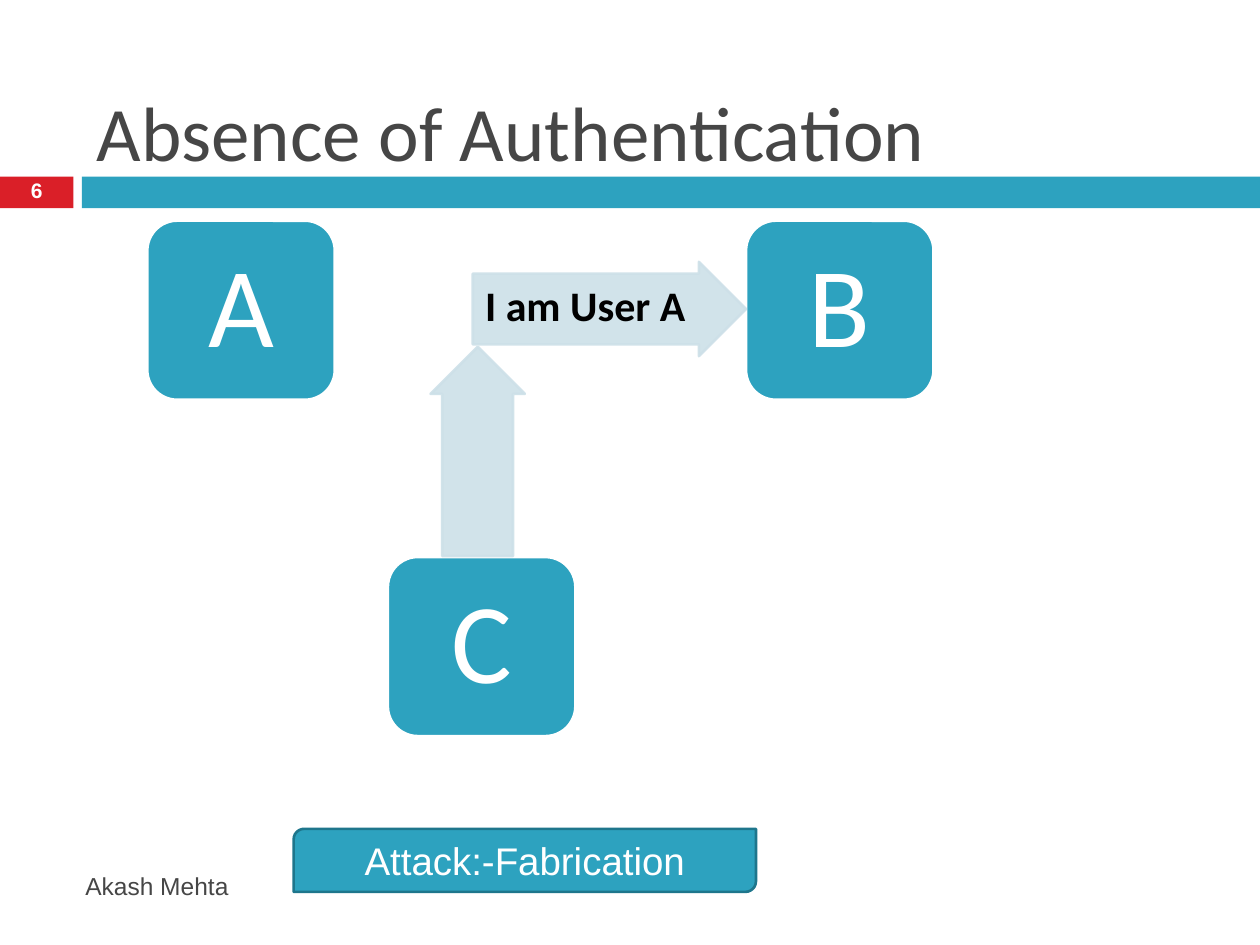
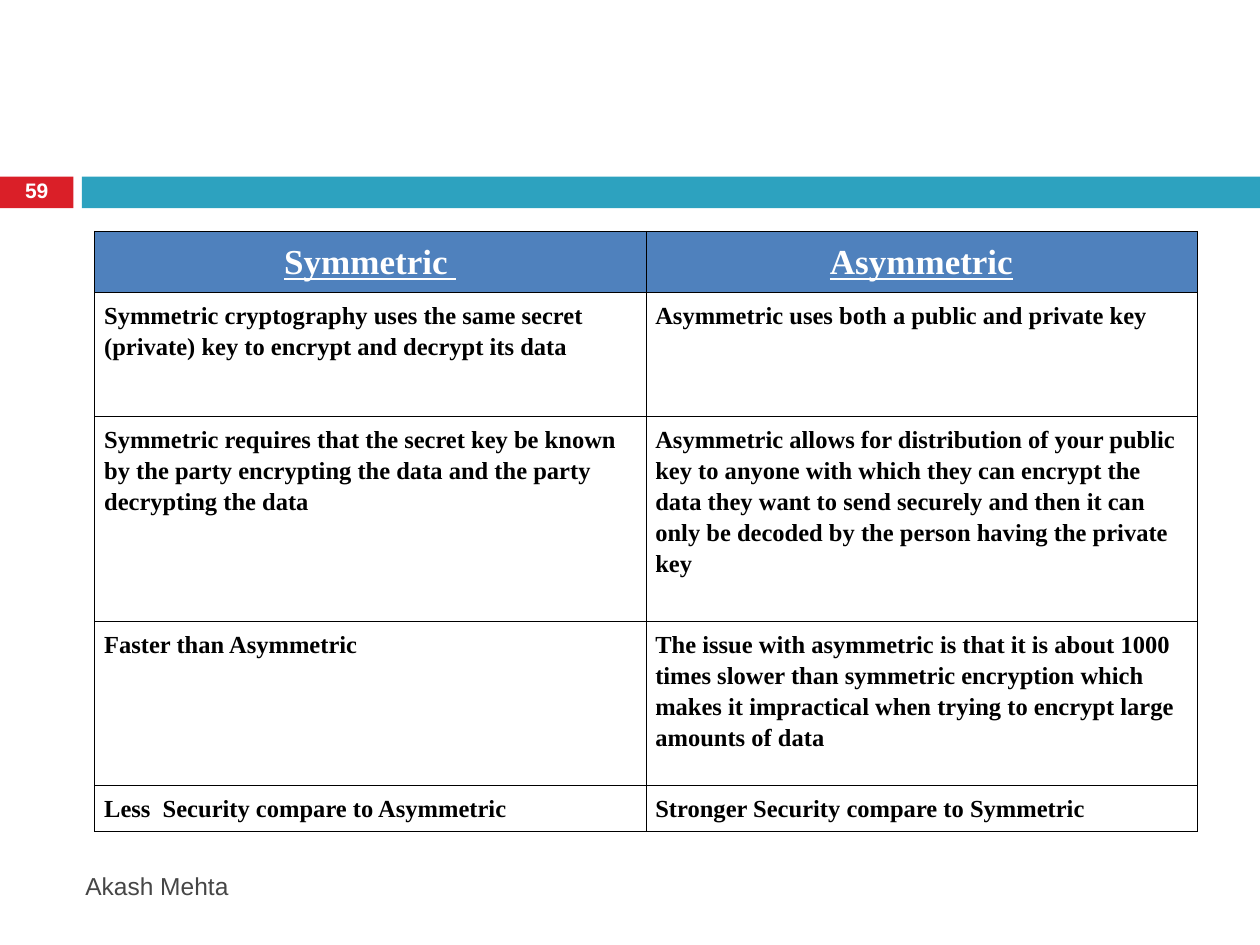
from dataclasses import dataclass
from pptx import Presentation
from pptx.dml.color import RGBColor
from pptx.enum.shapes import MSO_SHAPE as Preset
from pptx.enum.text import MSO_ANCHOR as Anchor, MSO_AUTO_SIZE as AutoSize, PP_ALIGN as Align
from pptx.oxml.ns import qn
from pptx.oxml.xmlchemy import OxmlElement
from pptx.util import Cm, Pt


@dataclass(frozen=True)
class Theme:
    teal: str = "2DA2BF"
    teal_edge: str = "1E768C"
    red: str = "DA1F28"
    pale: str = "CDE0E8"
    header: str = "4F81BD"
    grey: str = "464646"
    white: str = "FFFFFF"
    black: str = "000000"
    heading_font: str = "Calibri"
    label_font: str = "Arial"
    table_font: str = "Times New Roman"
    title_size: int = 44
    letter_size: int = 65
    message_size: int = 24
    attack_size: int = 22
    header_size: int = 20
    body_size: int = 14
    number_size: int = 12
    edge_width: float = 1.5
    border_width: float = 0.45


@dataclass(frozen=True)
class Box:
    left: float
    top: float
    width: float
    height: float

    def inner(self, left, top, width, height):
        return Box(self.left + left, self.top + top, width, height)

    def lengths(self):
        return [Cm(v) for v in (self.left, self.top, self.width, self.height)]


THEME = Theme()
PAGE = Box(0, 0, 25.4, 19.05)
TITLE = Box(1.7, 1.9, 22.66, 1.47)
BAND = Box(0, 3.56, PAGE.width, 0.64)
FOOTER = Box(1.47, 17.35, 15.06, 1.02)
ATTACK = Box(5.92, 16.71, 9.32, 1.27)
DIAGRAM = Box(2.97, 4.45, 15.85, 10.39)
COMPARISON = Box(1.91, 4.66, 22.22, 11.86)
COMPARISON_ROWS = [
    ("Symmetric ", "Asymmetric"),
    ("Symmetric cryptography uses the same secret (private) key to encrypt and decrypt its data",
     "Asymmetric uses both a public and private key"),
    ("Symmetric requires that the secret key be known by the party encrypting the data "
     "and the party decrypting the data",
     "Asymmetric allows for distribution of your public key to anyone with which they can "
     "encrypt the data they want to send securely and then it can only be decoded by the "
     "person having the private key"),
    ("Faster than Asymmetric",
     "The issue with asymmetric is that it is about 1000 times slower than symmetric encryption "
     "which makes it impractical when trying to encrypt large amounts of data"),
    ("Less  Security compare to Asymmetric", "Stronger Security compare to Symmetric"),
]
ROW_HEIGHTS = (1.09, 2.49, 4.14, 3.3, 0.84)


def rgb(colour):
    return RGBColor.from_string(colour)


def write(frame, text, size, font, colour, bold=False, underline=False,
          align=Align.LEFT, spacing=1.0):
    paragraph = frame.paragraphs[0]
    paragraph.alignment = align
    paragraph.line_spacing = spacing
    run = paragraph.add_run()
    run.text = text
    run.font.size, run.font.name = Pt(size), font
    run.font.bold, run.font.underline = bold, underline
    run.font.color.rgb = rgb(colour)


def set_margins(holder, across, down):
    holder.margin_left = holder.margin_right = Cm(across)
    holder.margin_top = holder.margin_bottom = Cm(down)


def add_figure(slide, preset, box, fill, edge=None):
    figure = slide.shapes.add_shape(preset, *box.lengths())
    figure.shadow.inherit = False
    figure.fill.solid()
    figure.fill.fore_color.rgb = rgb(fill)
    if edge:
        figure.line.color.rgb = rgb(edge)
        figure.line.width = Pt(THEME.edge_width)
    else:
        figure.line.fill.background()
    return figure


def add_label(slide, box, text, size, colour, **style):
    frame = slide.shapes.add_textbox(*box.lengths()).text_frame
    frame.word_wrap = True
    frame.vertical_anchor = Anchor.MIDDLE
    write(frame, text, size, THEME.label_font, colour, **style)


def add_band(slide, box, number):
    number_width, gap = 1.48, 0.17
    bar_left = number_width + gap
    add_figure(slide, Preset.RECTANGLE, box.inner(0, 0, number_width, box.height), THEME.red)
    add_figure(slide, Preset.RECTANGLE,
               box.inner(bar_left, 0, box.width - bar_left, box.height), THEME.teal)
    add_label(slide, box.inner(0, -0.03, number_width, 0.69), number, THEME.number_size,
              THEME.white, bold=True, align=Align.CENTER, spacing=0.8)


def add_title(slide, box, text):
    title = slide.shapes.title
    title.left, title.top, title.width, title.height = box.lengths()
    frame = title.text_frame
    frame.auto_size = AutoSize.NONE
    frame.word_wrap = True
    frame.vertical_anchor = Anchor.MIDDLE
    write(frame, text, THEME.title_size, THEME.heading_font, THEME.grey)


def add_user(slide, box, letter):
    user = add_figure(slide, Preset.ROUNDED_RECTANGLE, box, THEME.teal, THEME.white)
    frame = user.text_frame
    set_margins(frame, 0, 0)
    frame.vertical_anchor = Anchor.MIDDLE
    write(frame, letter, THEME.letter_size, THEME.heading_font, THEME.white,
          align=Align.CENTER, spacing=0.9)


def add_arrow(slide, box, rotation=0):
    arrow = add_figure(slide, Preset.RIGHT_ARROW, box, THEME.pale, THEME.pale)
    arrow.adjustments[0], arrow.adjustments[1] = 0.75, 0.5
    arrow.rotation = rotation
    for colour in arrow.element.spPr.iter(qn("a:srgbClr")):
        alpha = OxmlElement("a:alpha")
        alpha.set("val", "90000")
        colour.append(alpha)
    return arrow


def add_impersonation(slide, box):
    user_width, user_height, thickness = 3.78, 3.61, 1.9
    right_column = box.width - user_width
    add_user(slide, box.inner(0, 0, user_width, user_height), "A")
    add_user(slide, box.inner(right_column, 0, user_width, user_height), "B")
    add_user(slide, box.inner(4.85, box.height - user_height, user_width, user_height), "C")
    add_arrow(slide, box.inner(4.55, 3.7, 4.22, thickness), 270)
    claim_width = 5.51
    claim = add_arrow(slide, box.inner(right_column - claim_width, 0.83, claim_width, thickness))
    claim.text_frame.vertical_anchor = Anchor.TOP
    write(claim.text_frame, "I am User A", THEME.message_size, THEME.heading_font,
          THEME.black, bold=True)


def add_attack(slide, box, text):
    attack = add_figure(slide, Preset.ROUND_2_DIAG_RECTANGLE, box, THEME.teal, THEME.teal_edge)
    attack.text_frame.vertical_anchor = Anchor.MIDDLE
    write(attack.text_frame, text, THEME.attack_size, THEME.label_font, THEME.white,
          align=Align.CENTER)


def add_borders(cell):
    properties = cell._tc.get_or_add_tcPr()
    for side in ("L", "R", "T", "B"):
        border = OxmlElement(f"a:ln{side}")
        border.set("w", str(Pt(THEME.border_width)))
        solid, colour = OxmlElement("a:solidFill"), OxmlElement("a:srgbClr")
        colour.set("val", THEME.black)
        solid.append(colour)
        border.append(solid)
        properties.append(border)


def add_comparison(slide, box, rows, heights):
    table = slide.shapes.add_table(len(rows), len(rows[0]), *box.lengths()).table
    table.horz_banding = False
    for row, height, texts in zip(table.rows, heights, rows):
        row.height = Cm(height)
        is_header = texts is rows[0]
        for cell, text in zip(row.cells, texts):
            set_margins(cell, 0.19, 0.13)
            add_borders(cell)
            if is_header:
                cell.fill.solid()
                cell.fill.fore_color.rgb = rgb(THEME.header)
            else:
                cell.fill.background()
            write(cell.text_frame, text,
                  THEME.header_size if is_header else THEME.body_size,
                  THEME.table_font,
                  THEME.white if is_header else THEME.black,
                  bold=True, underline=is_header,
                  align=Align.CENTER if is_header else Align.LEFT, spacing=1.15)


def add_page(deck, layout_name, number):
    slide = deck.slides.add_slide(deck.slide_layouts.get_by_name(layout_name))
    add_band(slide, BAND, number)
    add_label(slide, FOOTER, "Akash Mehta", THEME.body_size, THEME.grey)
    return slide


def add_authentication_slide(deck):
    slide = add_page(deck, "Title Only", "6")
    add_title(slide, TITLE, "Absence of Authentication")
    add_impersonation(slide, DIAGRAM)
    add_attack(slide, ATTACK, "Attack:-Fabrication")


def add_comparison_slide(deck):
    slide = add_page(deck, "Blank", "59")
    add_comparison(slide, COMPARISON, COMPARISON_ROWS, ROW_HEIGHTS)


def main():
    deck = Presentation()
    deck.slide_width, deck.slide_height = Cm(PAGE.width), Cm(PAGE.height)
    add_authentication_slide(deck)
    add_comparison_slide(deck)
    deck.save("out.pptx")


if __name__ == "__main__":
    main()
